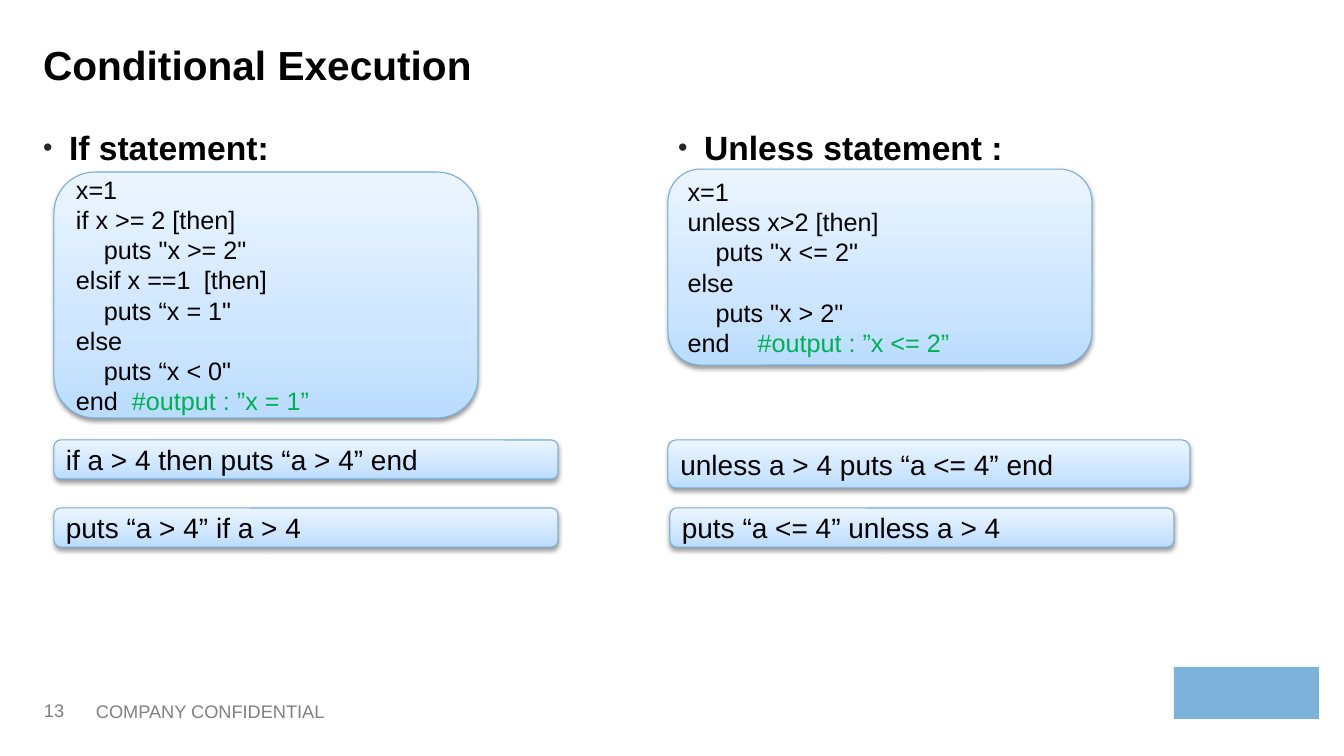
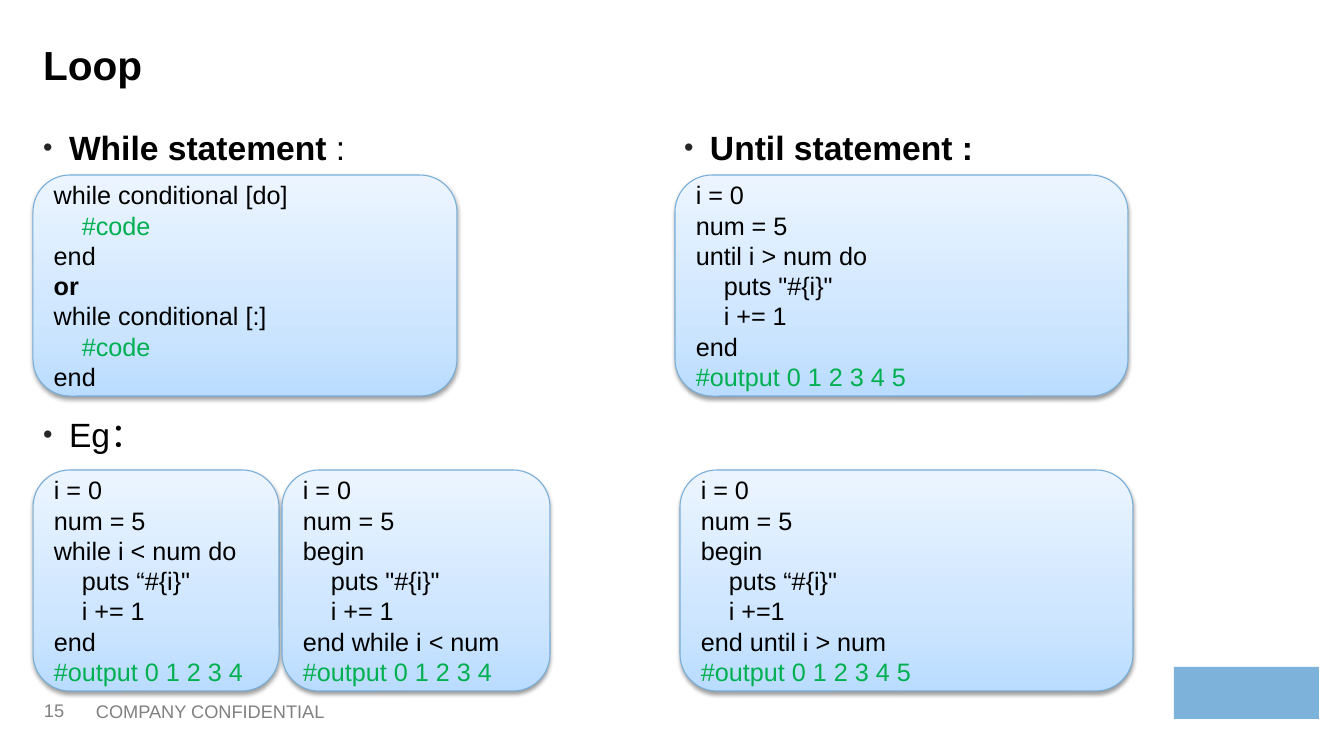
from dataclasses import dataclass

from lxml.etree import SubElement
from pptx import Presentation
from pptx.dml.color import RGBColor
from pptx.enum.shapes import MSO_SHAPE
from pptx.enum.text import MSO_ANCHOR, PP_ALIGN
from pptx.oxml.ns import qn
from pptx.util import Emu, Pt

EMU_PER_PX = 914400 / 100.8
SLIDE_SIZE = (1344, 756)
TITLE_ONLY = 5
FONT = "Arial"
COLORS = {
    "text": "000000",
    "comment": "00B050",
    "footer": "808080",
    "bullet": "262626",
    "box_line": "76ADD9",
    "shadow": "000000",
    "logo": "7DB2DB",
}
BOX_GRADIENT = [(0, "BADCFF"), (35, "CEE6FF"), (100, "ECF5FF")]
FORMATS = {
    "title": {"size": Pt(29), "bold": True},
    "heading": {"size": Pt(24), "bold": True},
    "plain_heading": {"size": Pt(24), "bold": False},
    "code": {"size": Pt(18), "bold": False},
    "bold_code": {"size": Pt(18), "bold": True},
    "one_liner": {"size": Pt(20), "bold": False},
    "footer": {"size": Pt(13), "bold": False},
}
CODE_INDENT = 28
BULLET_INDENT = 26
HEADING_TOP = 122
BAR_HEIGHT = 39


@dataclass
class Line:
    """One line of code; a tab in the text jumps to the tab position in px."""
    text: str = ""
    comment: str = ""
    level: int = 0
    tab: int = 0
    style: str = "code"


def px(length):
    return Emu(round(length * EMU_PER_PX))


def add_xml(parent, tag, **attributes):
    return SubElement(parent, qn(tag), {key: str(value) for key, value in attributes.items()})


class Deck:
    def __init__(self):
        self.presentation = Presentation()
        self.presentation.slide_width, self.presentation.slide_height = map(px, SLIDE_SIZE)
        self.slide = None

    def new_slide(self, title, number):
        layout = self.presentation.slide_layouts[TITLE_ONLY]
        self.slide = self.presentation.slides.add_slide(layout)
        shape = self.slide.shapes.title
        shape.left, shape.top, shape.width, shape.height = map(px, (33, 35, 1285, 72))
        self.set_frame(shape.text_frame, MSO_ANCHOR.TOP)
        self.add_run(shape.text_frame.paragraphs[0], title, "title")
        self.footer("COMPANY CONFIDENTIAL", 86, 401, 34)
        self.footer(str(number), 37, 66, 30, MSO_ANCHOR.MIDDLE, 7, 4)
        self.logo_block()

    def set_frame(self, frame, anchor, side=10, edge=5):
        values = {
            "word_wrap": True, "vertical_anchor": anchor,
            "margin_left": px(side), "margin_right": px(side),
            "margin_top": px(edge), "margin_bottom": px(edge),
        }
        for name, value in values.items():
            setattr(frame, name, value)
        frame.paragraphs[0].alignment = PP_ALIGN.LEFT

    def add_run(self, paragraph, text, style, color="text"):
        run = paragraph.add_run()
        run.text = text
        for name, value in {"name": FONT, **FORMATS[style]}.items():
            setattr(run.font, name, value)
        run.font.color.rgb = RGBColor.from_string(COLORS[color])

    def text_box(self, left, top, width, height, anchor=MSO_ANCHOR.TOP, side=10, edge=5):
        box = self.slide.shapes.add_textbox(*map(px, (left, top, width, height)))
        self.set_frame(box.text_frame, anchor, side, edge)
        return box.text_frame.paragraphs[0]

    def footer(self, text, left, width, height, *frame):
        self.add_run(self.text_box(left, 695, width, height, *frame), text, "footer", "footer")

    def logo_block(self):
        shape = self.slide.shapes.add_shape(MSO_SHAPE.RECTANGLE, *map(px, (1174, 667, 145, 52)))
        shape.shadow.inherit = False
        shape.fill.solid()
        shape.fill.fore_color.rgb = RGBColor.from_string(COLORS["logo"])
        shape.line.fill.background()

    def heading(self, left, *runs, top=HEADING_TOP):
        """Add a bulleted heading from (text, style) runs."""
        paragraph = self.text_box(left, top, 640, 46)
        for text, style in runs:
            self.add_run(paragraph, text, style)
        properties = paragraph._p.get_or_add_pPr()
        properties.set("marL", str(px(BULLET_INDENT)))
        properties.set("indent", str(-px(BULLET_INDENT)))
        add_xml(add_xml(properties, "a:buClr"), "a:srgbClr", val=COLORS["bullet"])
        add_xml(properties, "a:buSzPct", val=80000)
        add_xml(properties, "a:buFont", typeface=FONT)
        add_xml(properties, "a:buChar", char="•")

    def gradient_box(self, left, top, width, height):
        shape = self.slide.shapes.add_shape(
            MSO_SHAPE.ROUNDED_RECTANGLE, *map(px, (left, top, width, height)))
        shape.fill.gradient()
        shape.fill.gradient_angle = 90
        shape.line.color.rgb = RGBColor.from_string(COLORS["box_line"])
        shape.line.width = Pt(0.75)
        shape.shadow.inherit = False
        properties = shape._element.spPr
        stops = properties.find(".//" + qn("a:gsLst"))
        stops.clear()
        for position, color in BOX_GRADIENT:
            stop = add_xml(stops, "a:gs", pos=position * 1000)
            add_xml(stop, "a:srgbClr", val=color)
        shadow = add_xml(properties.find(qn("a:effectLst")), "a:outerShdw",
                         blurRad=40000, dist=20000, dir=5400000, rotWithShape=0)
        shadow_color = add_xml(shadow, "a:srgbClr", val=COLORS["shadow"])
        add_xml(shadow_color, "a:alpha", val=38000)
        self.set_frame(shape.text_frame, MSO_ANCHOR.MIDDLE)
        return shape.text_frame

    def code_box(self, left, top, width, height, lines):
        frame = self.gradient_box(left, top, width, height)
        for index, line in enumerate(lines):
            paragraph = frame.add_paragraph() if index else frame.paragraphs[0]
            paragraph.alignment = PP_ALIGN.LEFT
            properties = paragraph._p.get_or_add_pPr()
            if line.level:
                properties.set("marL", str(px(line.level * CODE_INDENT)))
                properties.set("indent", "0")
            if line.tab:
                tabs = add_xml(properties, "a:tabLst")
                add_xml(tabs, "a:tab", pos=px(line.tab), algn="l")
            for text, color in ((line.text, "text"), (line.comment, "comment")):
                if text:
                    self.add_run(paragraph, text, line.style, color)

    def one_liner(self, left, top, text, width=504, height=BAR_HEIGHT):
        frame = self.gradient_box(left, top, width, height)
        self.add_run(frame.paragraphs[0], text, "one_liner")


def counting_loop(opening, body, step, closing, output):
    return [Line("i = 0"), Line("num = 5"), Line(opening), Line(body, level=1),
            Line(step, level=1), Line(closing), Line(comment=output)]


def build_conditions(deck):
    deck.new_slide("Conditional Execution", 13)
    deck.heading(33, ("If statement:", "heading"))
    deck.heading(668, ("Unless statement :", "heading"))
    deck.code_box(54, 172, 424, 246, [
        Line("x=1"),
        Line("if x >= 2 [then]"),
        Line('puts "x >= 2"', level=1),
        Line("elsif x ==1\t[then]", tab=128),
        Line('puts “x = 1"', level=1),
        Line("else"),
        Line('puts “x < 0"', level=1),
        Line("end\t", "#output : ”x = 1”", tab=56),
    ])
    deck.code_box(668, 169, 424, 196, [
        Line("x=1"),
        Line("unless x>2 [then]"),
        Line('puts "x <= 2"', level=1),
        Line("else"),
        Line('puts "x > 2"', level=1),
        Line("end\t", "#output : ”x <= 2”", tab=70),
    ])
    deck.one_liner(54, 440, "if a > 4 then puts “a > 4” end")
    deck.one_liner(54, 508, "puts “a > 4” if a > 4")
    deck.one_liner(668, 440, "unless a > 4 puts “a <= 4” end", 522, 48)
    deck.one_liner(670, 508, "puts “a <= 4” unless a > 4")


def build_loops(deck):
    syntax_top, example_top, height = 175, 470, 221
    to_four, to_five = "#output 0 1 2 3 4", "#output 0 1 2 3 4 5"
    straight, curly = 'puts "#{i}"', 'puts “#{i}"'

    deck.new_slide("Loop", 15)
    deck.heading(33, ("While statement ", "heading"), (":", "plain_heading"))
    deck.heading(674, ("Until statement :", "heading"))
    deck.heading(33, ("Eg：", "plain_heading"), top=409)
    deck.code_box(33, syntax_top, 424, height, [
        Line("while conditional [do]"),
        Line(comment="#code", level=1),
        Line("end"),
        Line("or", style="bold_code"),
        Line("while conditional [:]"),
        Line(comment="#code", level=1),
        Line("end"),
    ])
    loops = [
        (675, syntax_top, 453, ("until i > num do", straight, "i += 1", "end", to_five)),
        (33, example_top, 246, ("while i < num do", curly, "i += 1", "end", to_four)),
        (282, example_top, 268, ("begin", straight, "i += 1", "end while i < num", to_four)),
        (680, example_top, 453, ("begin", curly, "i +=1", "end until i > num", to_five)),
    ]
    for left, top, width, code in loops:
        deck.code_box(left, top, width, height, counting_loop(*code))


def main():
    deck = Deck()
    build_conditions(deck)
    build_loops(deck)
    deck.presentation.save("out.pptx")


if __name__ == "__main__":
    main()
